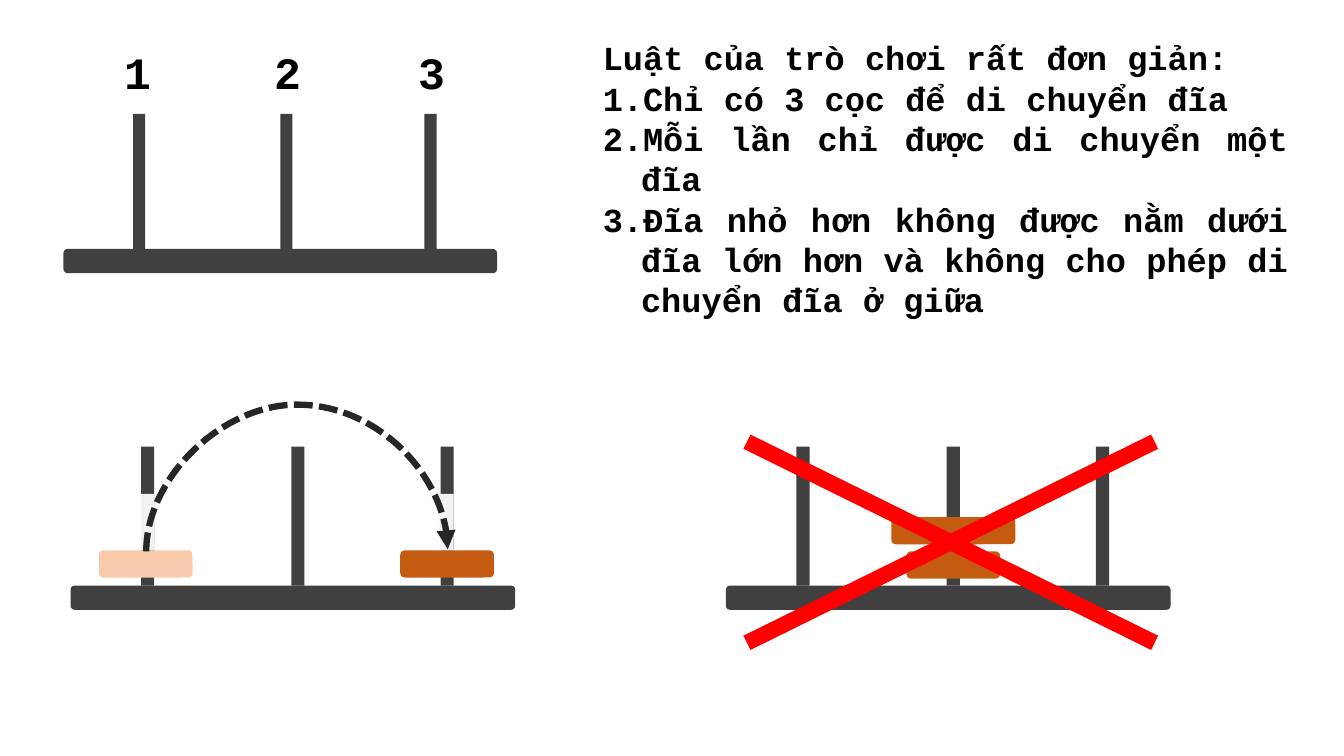
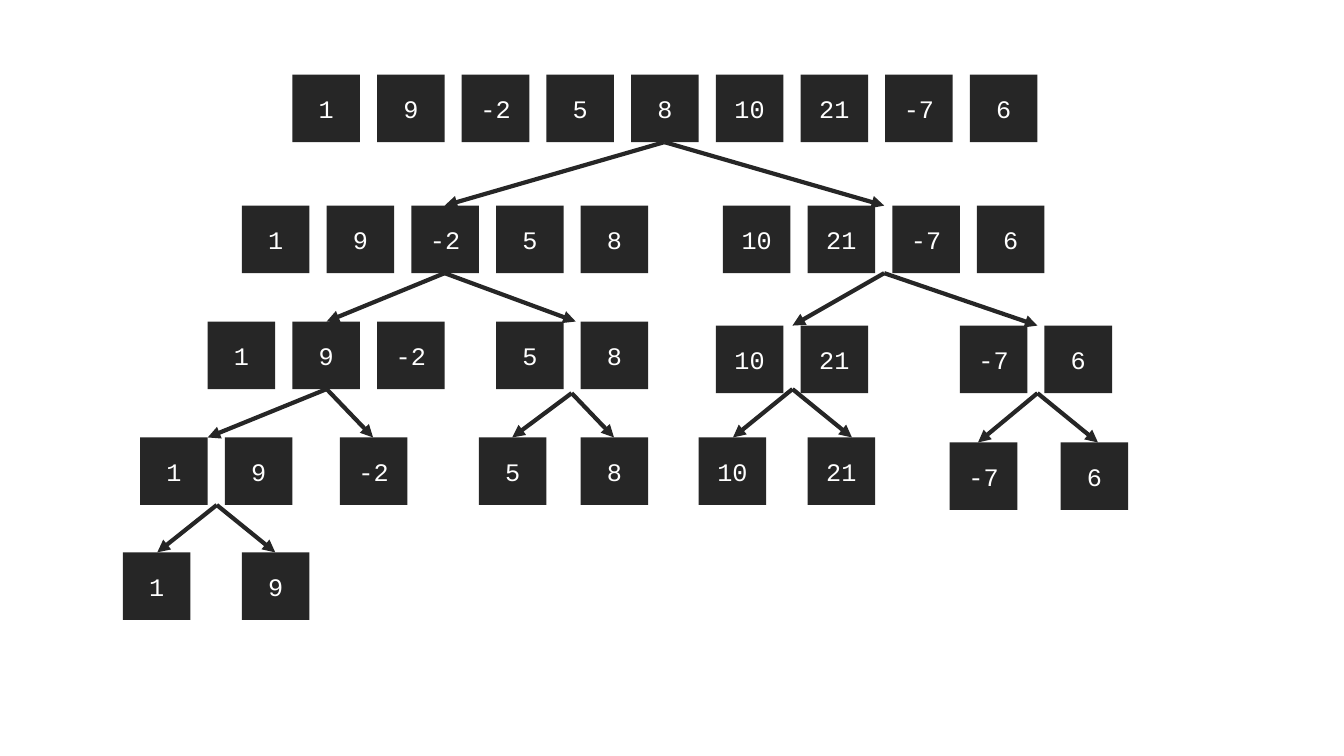
from lxml.etree import SubElement
from pptx import Presentation
from pptx.dml.color import RGBColor
from pptx.enum.dml import MSO_LINE
from pptx.enum.shapes import MSO_CONNECTOR, MSO_SHAPE
from pptx.enum.text import MSO_ANCHOR, MSO_AUTO_SIZE, PP_ALIGN
from pptx.oxml.ns import qn
from pptx.util import Inches, Pt

COLORS = {
    "text": "000000",
    "white": "FFFFFF",
    "wood": "404040",
    "dark": "262626",
    "disk": "C55A11",
    "moved_disk": "F8CBAD",
    "trace": "F2F2F2",
    "forbidden": "FF0000",
}
FONT = "Courier New"
BLANK_LAYOUT = 6
INDENT = 0.38

BASE_HEIGHT = 0.24
DISK_HEIGHT = 0.27
MOVE_PEGS = (0.7, 2.19, 3.67)

CELL = 0.67
CELL_PITCH = 0.84

RULES_HEADING = "Luật của trò chơi rất đơn giản:"
RULES = (
    "Chỉ có 3 cọc để di chuyển đĩa",
    "Mỗi lần chỉ được di chuyển một đĩa",
    "Đĩa nhỏ hơn không được nằm dưới đĩa lớn hơn và không cho phép di chuyển đĩa ở giữa",
)

ROOT = (2.9, 0.74, "1 9 -2 5 8 10 21 -7 6")
# Each split: its origin, then its branches as (arrow tip x, left, top, values).
SPLITS = (
    ((6.59, 1.41), ((4.41, 2.4, 2.04, "1 9 -2 5 8"), (8.77, 7.17, 2.04, "10 21 -7 6"))),
    ((4.41, 2.71), ((3.24, 2.06, 3.19, "1 9 -2"), (5.71, 4.92, 3.19, "5 8"))),
    ((3.24, 3.86), ((2.06, 1.39, 4.34, "1 9"), (3.7, 3.37, 4.34, "-2"))),
    ((5.67, 3.9), ((5.08, 4.75, 4.34, "5"), (6.09, 5.76, 4.34, "8"))),
    ((2.15, 5.01), ((1.56, 1.22, 5.48, "1"), (2.73, 2.4, 5.48, "9"))),
    ((8.77, 2.71), ((7.86, 7.1, 3.23, "10 21"), (10.29, 9.52, 3.23, "-7 6"))),
    ((7.86, 3.86), ((7.27, 6.93, 4.34, "10"), (8.45, 8.01, 4.34, "21"))),
    ((10.29, 3.9), ((9.7, 9.42, 4.39, "-7"), (10.89, 10.52, 4.39, "6"))),
)


def rgb(name):
    """Return the named palette colour."""
    return RGBColor.from_string(COLORS[name])


def write(paragraph, text, size=18, color="text", bold=False, align=PP_ALIGN.LEFT):
    """Put formatted text in a paragraph."""
    paragraph.alignment = align
    run = paragraph.add_run()
    run.text = text
    run.font.name = FONT
    run.font.size = Pt(size)
    run.font.bold = bold
    run.font.color.rgb = rgb(color)


def number(paragraph):
    """Give a paragraph an automatic number and a hanging indent."""
    properties = paragraph._p.get_or_add_pPr()
    properties.set("marL", str(Inches(INDENT)))
    properties.set("indent", str(Inches(-INDENT)))
    SubElement(properties, qn("a:buAutoNum"), type="arabicPeriod")


def add_text_frame(shapes, left, top, width, height, wrap=True):
    """Add a text box that grows with its text and return its frame."""
    frame = shapes.add_textbox(Inches(left), Inches(top), Inches(width), Inches(height)).text_frame
    frame.word_wrap = wrap
    frame.auto_size = MSO_AUTO_SIZE.SHAPE_TO_FIT_TEXT
    return frame


def add_block(shapes, left, top, width, height, color, kind=MSO_SHAPE.RECTANGLE):
    """Add a flat shape with a fill and no outline."""
    block = shapes.add_shape(kind, Inches(left), Inches(top), Inches(width), Inches(height))
    block.shadow.inherit = False
    block.fill.solid()
    block.fill.fore_color.rgb = rgb(color)
    block.line.fill.background()
    return block


def add_arrow(shapes, start, end, width=3, kind=MSO_CONNECTOR.STRAIGHT, dash=None):
    """Add a dark connector with a triangle at its end."""
    arrow = shapes.add_connector(kind, *(Inches(value) for value in (*start, *end)))
    arrow.line.color.rgb = rgb("dark")
    arrow.line.width = Pt(width)
    if dash is not None:
        arrow.line.dash_style = dash
    SubElement(arrow.line._get_or_add_ln(), qn("a:tailEnd"), type="triangle")
    SubElement(arrow.element.spPr, qn("a:effectLst"))
    return arrow


def add_arc(shapes, start_x, end_x, start_y, end_y, peak_y):
    """Add a dashed arc rising from its start to a peak and down to its end."""
    center_x, center_y = (start_x + end_x) / 2, (start_y + end_y) / 2
    drop, span = start_y - end_y, end_x - start_x
    arc = add_arrow(
        shapes,
        (center_x + drop / 2, center_y + span / 2),
        (center_x - drop / 2, center_y - span / 2),
        width=4.5, kind=MSO_CONNECTOR.CURVE, dash=MSO_LINE.SQUARE_DOT,
    )
    properties = arc.element.spPr
    properties.find(qn("a:xfrm")).set("rot", "5400000")
    guides = properties.find(qn("a:prstGeom")).get_or_add_avLst()
    bend = round((start_y - peak_y) / drop * 100000)
    SubElement(guides, qn("a:gd"), name="adj1", fmla=f"val {bend}")


def add_tower(slide, left, base_top, width, pegs, peg_width, peg_height):
    """Add a grouped base with its pegs and return the group's shapes."""
    shapes = slide.shapes.add_group_shape().shapes
    add_block(shapes, left, base_top, width, BASE_HEIGHT, "wood", MSO_SHAPE.ROUNDED_RECTANGLE)
    for peg in pegs:
        add_block(shapes, left + peg, base_top - peg_height, peg_width, peg_height, "wood")
    return shapes


def add_disk(shapes, left, top, width=0.93, color="disk"):
    """Add a rounded disk."""
    add_block(shapes, left, top, width, DISK_HEIGHT, color, MSO_SHAPE.ROUNDED_RECTANGLE)


def add_cells(shapes, left, top, values):
    """Add a row of evenly spaced number cells."""
    for index, value in enumerate(values.split()):
        cell = add_block(shapes, left + index * CELL_PITCH, top, CELL, CELL, "dark")
        cell.text_frame.vertical_anchor = MSO_ANCHOR.MIDDLE
        write(cell.text_frame.paragraphs[0], value, color="white", align=PP_ALIGN.CENTER)


def build_rules(slide):
    """Draw the tower game's rules with a legal and a forbidden move."""
    rules = add_text_frame(slide.shapes, 5.88, 0.32, 6.99, 2.52)
    heading_format = {"size": 24, "bold": True, "align": PP_ALIGN.JUSTIFY}
    write(rules.paragraphs[0], RULES_HEADING, **heading_format)
    for rule in RULES:
        paragraph = rules.add_paragraph()
        write(paragraph, rule, **heading_format)
        number(paragraph)

    empty = add_tower(slide, 0.63, 2.47, 4.3, (0.69, 2.15, 3.58), 0.12, 1.34)
    for label, left in zip("123", (1.14, 2.62, 4.05)):
        frame = add_text_frame(empty, left, 0.39, 0.45, 0.64, wrap=False)
        write(frame.paragraphs[0], label, size=32, bold=True)

    legal = add_tower(slide, 0.7, 5.81, 4.41, MOVE_PEGS, 0.13, 1.38)
    add_disk(legal, 0.98, 5.46, color="moved_disk")
    add_disk(legal, 3.97, 5.46)
    for left, width in ((4.36, 0.14), (1.4, 0.13)):
        add_block(legal, left, 4.9, width, 0.56, "trace")
    add_arc(slide.shapes, 1.45, 4.44, 5.47, 5.45, 4.02)

    forbidden = add_tower(slide, 7.2, 5.81, 4.41, MOVE_PEGS, 0.13, 1.38)
    add_disk(forbidden, 8.84, 5.13, width=1.23)
    add_disk(forbidden, 8.99, 5.47)
    cross = add_block(forbidden, 5.54, 3.46, 7.78, 3.84, "forbidden", MSO_SHAPE.MATH_MULTIPLY)
    cross.adjustments[0] = 0.041


def build_splits(slide):
    """Draw the list being halved down to single numbers."""
    add_cells(slide.shapes.add_group_shape().shapes, *ROOT)
    for origin, branches in SPLITS:
        for tip, left, top, values in branches:
            branch = slide.shapes.add_group_shape().shapes
            add_arrow(branch, origin, (tip, top))
            add_cells(branch, left, top, values)


def main():
    """Build and save the presentation."""
    presentation = Presentation()
    presentation.slide_width = Inches(13.33)
    presentation.slide_height = Inches(7.5)
    for build in (build_rules, build_splits):
        build(presentation.slides.add_slide(presentation.slide_layouts[BLANK_LAYOUT]))
    presentation.save("out.pptx")


if __name__ == "__main__":
    main()
